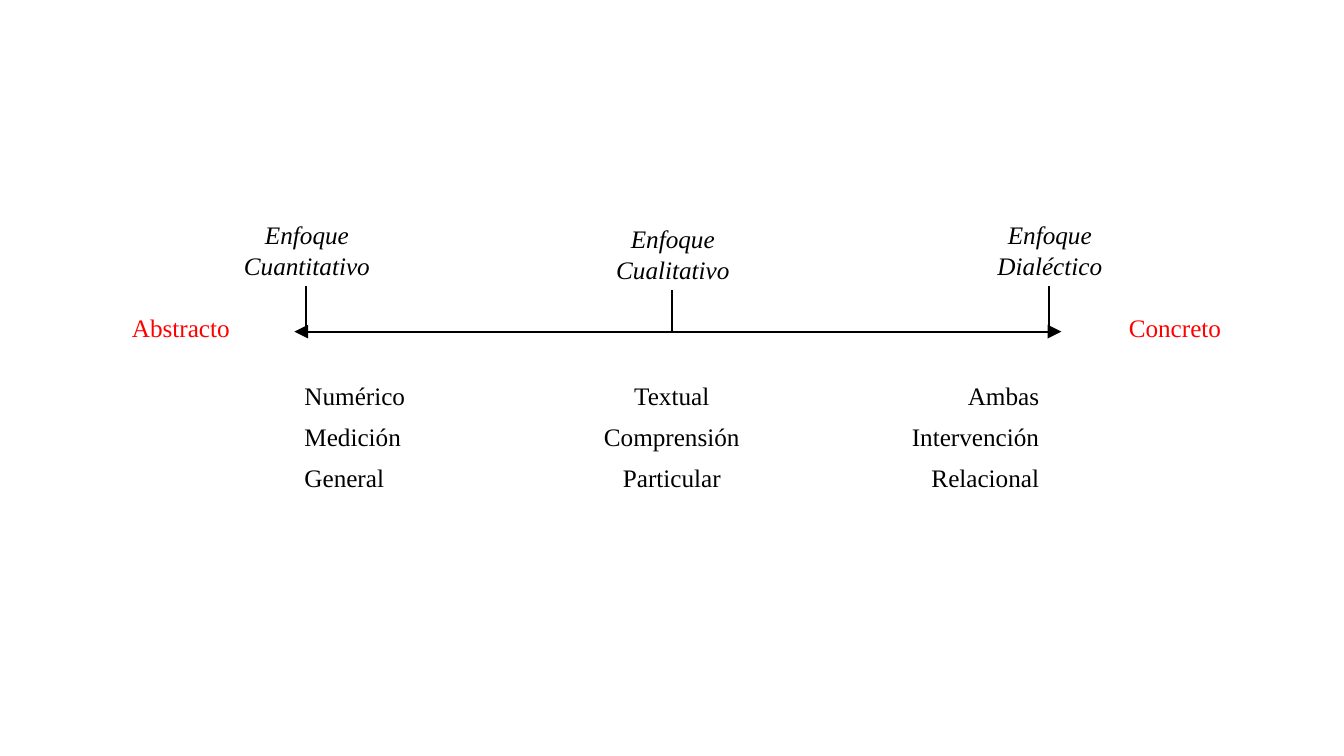
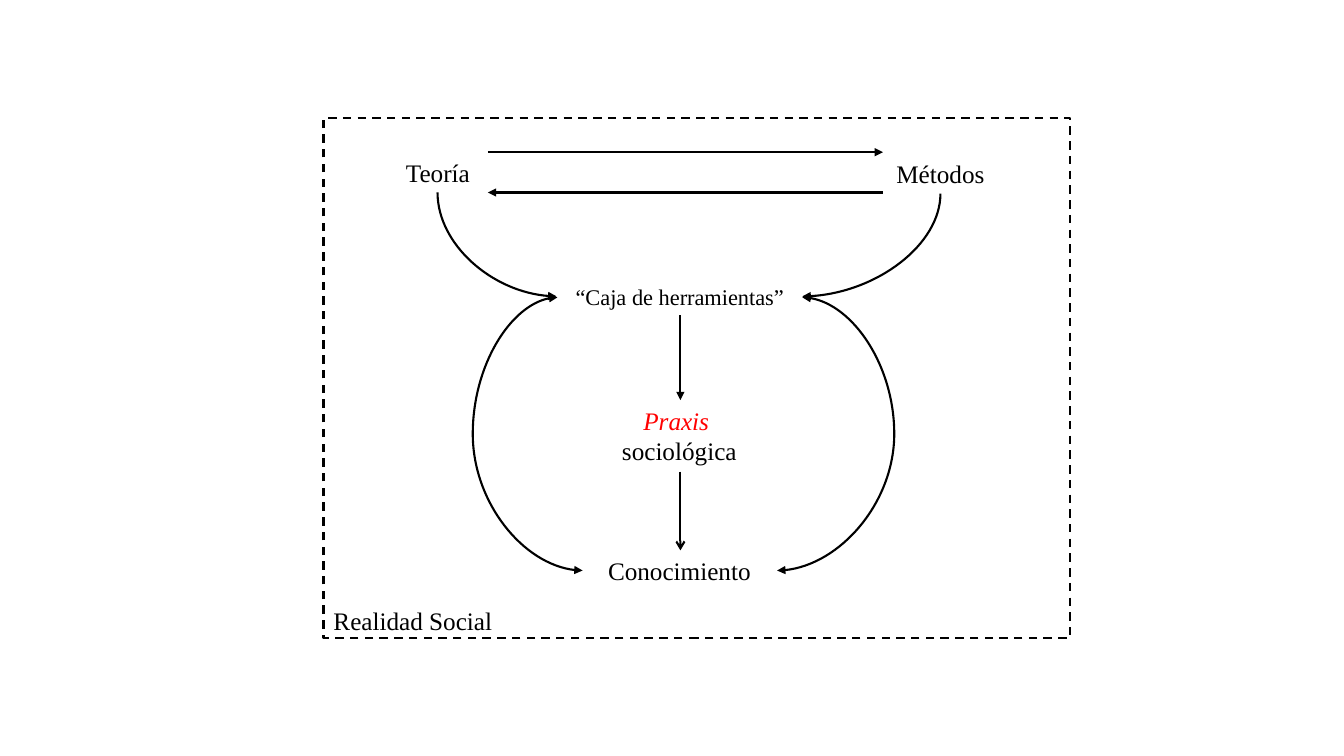
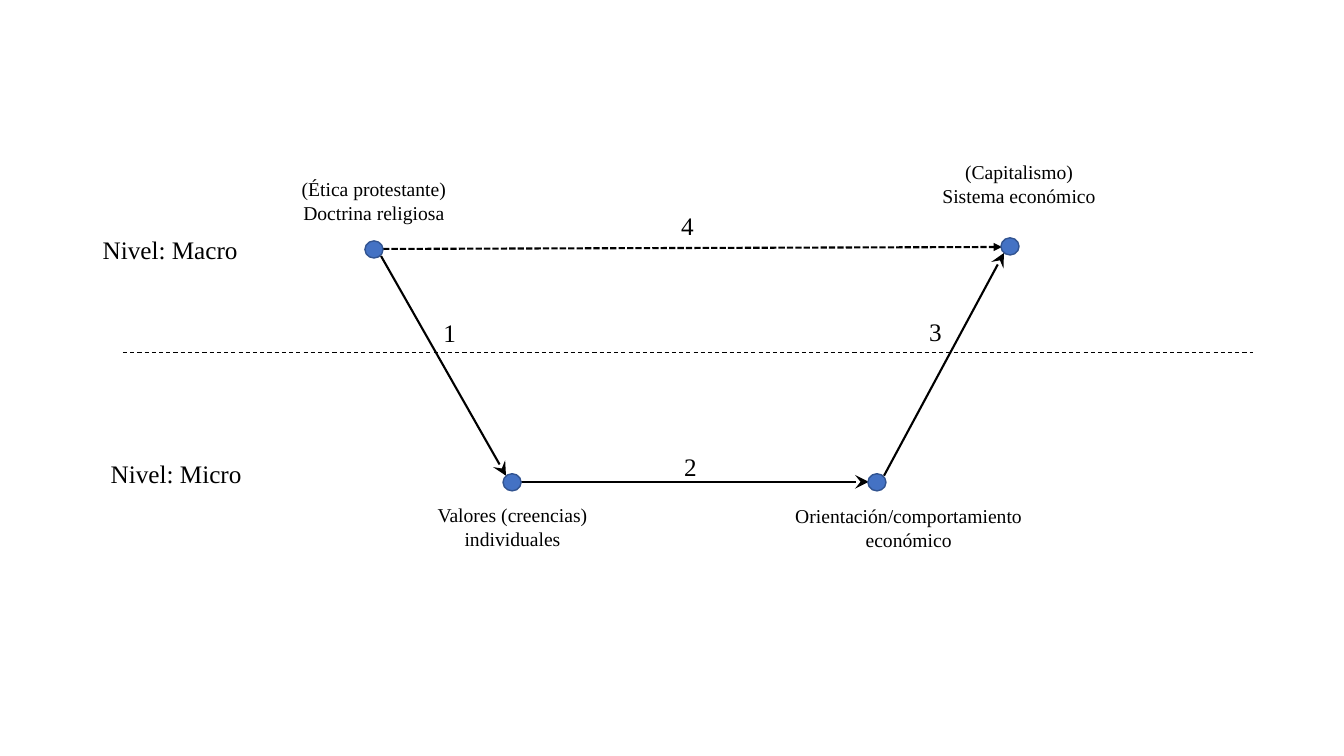
from pptx import Presentation
from pptx import util as u
from pptx.dml.color import RGBColor
from pptx.enum import dml, shapes, text
from pptx.oxml.ns import qn
from lxml import etree

FONT = "Times New Roman"
BLACK, RED, BLUE, NAVY = "000000", "FF0000", "4472C4", "325491"
LEFT, CENTER, RIGHT = text.PP_ALIGN.LEFT, text.PP_ALIGN.CENTER, text.PP_ALIGN.RIGHT
DASH, SHORT_DASH = dml.MSO_LINE.DASH, dml.MSO_LINE.SQUARE_DOT

AXIS_Y = 3.29
POLES = [("Abstracto", 1.21, 3.05, 1.25), ("Concreto", 11.1, 3.05, 1.49)]
APPROACHES = [
    ("Enfoque Cuantitativo", 3.04, 2.13),
    ("Enfoque Cualitativo", 6.67, 2.17),
    ("Enfoque Dialéctico", 10.41, 2.13),
]
TRAITS = [
    ("Numérico", "Textual", "Ambas"),
    ("Medición", "Comprensión", "Intervención"),
    ("General", "Particular", "Relacional"),
]
TRAIT_ROWS = 8

CONCEPTS = [
    ("Teoría", 3.53, 1.51, 1.63, 18),
    ("Métodos", 8.28, 1.52, 2.1, 18),
    ("“Caja de herramientas”", 5.53, 2.76, 2.43, 16),
    ("Conocimiento", 5.78, 5.46, 1.92, 18),
]
FLOWS = [
    ((4.84, 1.51), (8.76, 1.51), "triangle"),
    ((8.76, 1.91), (4.84, 1.91), "triangle"),
    ((6.75, 3.13), (6.75, 3.97), "triangle"),
    ((6.75, 4.68), (6.75, 5.46), "arrow"),
]
TURNS = [((9.33, 1.92), (7.96, 2.94)), ((4.34, 1.91), (5.52, 2.94))]
LOOPS = [((7.96, 2.95), (7.71, 5.66), -3.65), ((5.53, 2.95), (5.78, 5.66), -3.36)]

LEVELS = [("Nivel: Macro", 0.92, 2.28), ("Nivel: Micro", 1, 4.5)]
NODES = [(3.62, 2.39), (4.99, 4.7), (8.61, 4.7), (9.93, 2.36)]
NODE_LABELS = [
    (["(Ética protestante)", "Doctrina religiosa"], 2.64, 1.71, 2.14),
    (["Valores (creencias) individuales"], 4.06, 4.94, 2.05),
    (["Orientación/comportamiento económico"], 7.74, 4.95, 2.55),
    (["(Capitalismo)", "Sistema económico"], 8.99, 1.54, 2.24),
]
STEPS = [("1", 4.3, 3.1), ("2", 6.69, 4.43), ("3", 9.12, 3.09), ("4", 6.66, 2.04)]
LINKS = [
    ((3.78, 2.54), (5.02, 4.72)),
    ((5.17, 4.78), (8.62, 4.78)),
    ((8.77, 4.72), (9.96, 2.51)),
]


def rgb(value):
    return RGBColor.from_string(value)


def style(paragraph, size=18, color=BLACK, align=LEFT, italic=False):
    paragraph.alignment = align
    for run in paragraph.runs:
        run.font.name, run.font.size = FONT, u.Pt(size)
        run.font.italic = italic
        run.font.color.rgb = rgb(color)


def label(slide, lines, x, y, w, h=0.4, wrap=True, **look):
    box = slide.shapes.add_textbox(*map(u.Inches, (x, y, w, h)))
    box.text_frame.word_wrap = wrap
    box.text_frame.text = "\n".join(lines)
    for paragraph in box.text_frame.paragraphs:
        style(paragraph, **look)
    return box


def connect(slide, start, end, tail=None, head=None, width=1.5, dash=None,
            tip_size="med", kind=shapes.MSO_CONNECTOR.STRAIGHT):
    link = slide.shapes.add_connector(kind, *map(u.Inches, start + end))
    link.line.color.rgb = rgb(BLACK)
    link.line.width = u.Pt(width)
    if dash:
        link.line.dash_style = dash
    for tag, tip in (("a:headEnd", head), ("a:tailEnd", tail)):
        if tip:
            etree.SubElement(link.get_or_add_ln(), qn(tag),
                             type=tip, w=tip_size, len=tip_size)
    etree.SubElement(link.element.spPr, qn("a:effectLst"))
    return link


def loop(slide, start, end, bend):
    link = connect(slide, start, end, "triangle", "triangle",
                   kind=shapes.MSO_CONNECTOR.CURVE)
    guides = link.element.spPr.find(qn("a:prstGeom")).find(qn("a:avLst"))
    etree.SubElement(guides, qn("a:gd"), name="adj1", fmla=f"val {round(bend * 100000)}")


def quarter_turn(slide, start, end):
    (x1, y1), (x2, y2) = start, end
    across, down = abs(x2 - x1), y2 - y1
    left = (x1 + x2 - down) / 2
    top = (y1 + y2 - across) / 2
    rightward = x2 > x1
    sides = (left + down, left) if rightward else (left, left + down)
    link = connect(slide, (sides[0], top), (sides[1], top + across), "triangle",
                   kind=shapes.MSO_CONNECTOR.CURVE)
    properties = link.element.spPr
    properties.find(qn("a:prstGeom")).set("prst", "curvedConnector2")
    properties.find(qn("a:xfrm")).set("rot", str((270 if rightward else 90) * 60000))


def outline(slide, preset, x, y, w, h, fill, line, width):
    shape = slide.shapes.add_shape(preset, *map(u.Inches, (x, y, w, h)))
    shape.shadow.inherit = False
    if fill:
        shape.fill.solid()
        shape.fill.fore_color.rgb = rgb(fill)
    else:
        shape.fill.background()
    shape.line.color.rgb = rgb(line)
    shape.line.width = u.Pt(width)
    return shape


def build_approaches(slide):
    connect(slide, (2.92, AXIS_Y), (10.53, AXIS_Y), "triangle", "triangle", tip_size="lg")
    for name, x, y, w in POLES:
        label(slide, [name], x, y, w, color=RED)
    for name, middle, y in APPROACHES:
        label(slide, [name], middle - 0.92, y, 1.85, 0.71, align=CENTER, italic=True)
        connect(slide, (middle, y + 0.71), (middle, AXIS_Y))
    traits = slide.shapes.add_table(
        TRAIT_ROWS, 3, *map(u.Inches, (2.92, 3.75, 7.49, 3.24))).table
    traits.first_row = traits.horz_banding = False
    for cell in traits.iter_cells():
        cell.fill.background()
    for r, row in enumerate(TRAITS):
        for c, (trait, align) in enumerate(zip(row, (LEFT, CENTER, RIGHT))):
            cell = traits.cell(r, c)
            cell.text = trait
            style(cell.text_frame.paragraphs[0], align=align)


def build_praxis(slide):
    reality = outline(slide, shapes.MSO_SHAPE.RECTANGLE, 3.21, 1.17, 7.41, 5.16,
                      None, BLACK, 1.5)
    reality.line.dash_style = DASH
    frame = reality.text_frame
    frame.text = "Realidad Social"
    frame.vertical_anchor = text.MSO_ANCHOR.BOTTOM
    frame.margin_bottom = u.Inches(0.02)
    style(frame.paragraphs[0])
    for name, x, y, w, size in CONCEPTS:
        label(slide, [name], x, y, w, size=size, align=CENTER)
    praxis = label(slide, ["Praxis ", "sociológica"], 5.32, 3.97, 2.84, 0.71, align=CENTER)
    style(praxis.text_frame.paragraphs[0], color=RED, align=CENTER, italic=True)
    for start, end, tip in FLOWS:
        connect(slide, start, end, tip)
    for start, end in TURNS:
        quarter_turn(slide, start, end)
    for start, end, bend in LOOPS:
        loop(slide, start, end, bend)


def build_levels(slide):
    for start, end in LINKS:
        connect(slide, start, end, "stealth", tip_size="lg")
    connect(slide, (1.22, 3.5), (12.43, 3.5), width=0.75, dash=DASH)
    connect(slide, (3.8, 2.47), (9.94, 2.45), "triangle", dash=SHORT_DASH)
    for x, y in NODES:
        outline(slide, shapes.MSO_SHAPE.OVAL, x, y, 0.18, 0.17, BLUE, NAVY, 1)
    for name, x, y in LEVELS:
        label(slide, [name], x, y, 1.65)
    for lines, x, y, w in NODE_LABELS:
        label(slide, lines, x, y, w, 0.57, size=14, align=CENTER)
    for number, x, y in STEPS:
        label(slide, [number], x, y, 0.33, wrap=False)


def main():
    deck = Presentation()
    deck.slide_width, deck.slide_height = u.Inches(40 / 3), u.Inches(7.5)
    for build in (build_approaches, build_praxis, build_levels):
        build(deck.slides.add_slide(deck.slide_layouts[6]))
    deck.save("out.pptx")


if __name__ == "__main__":
    main()
